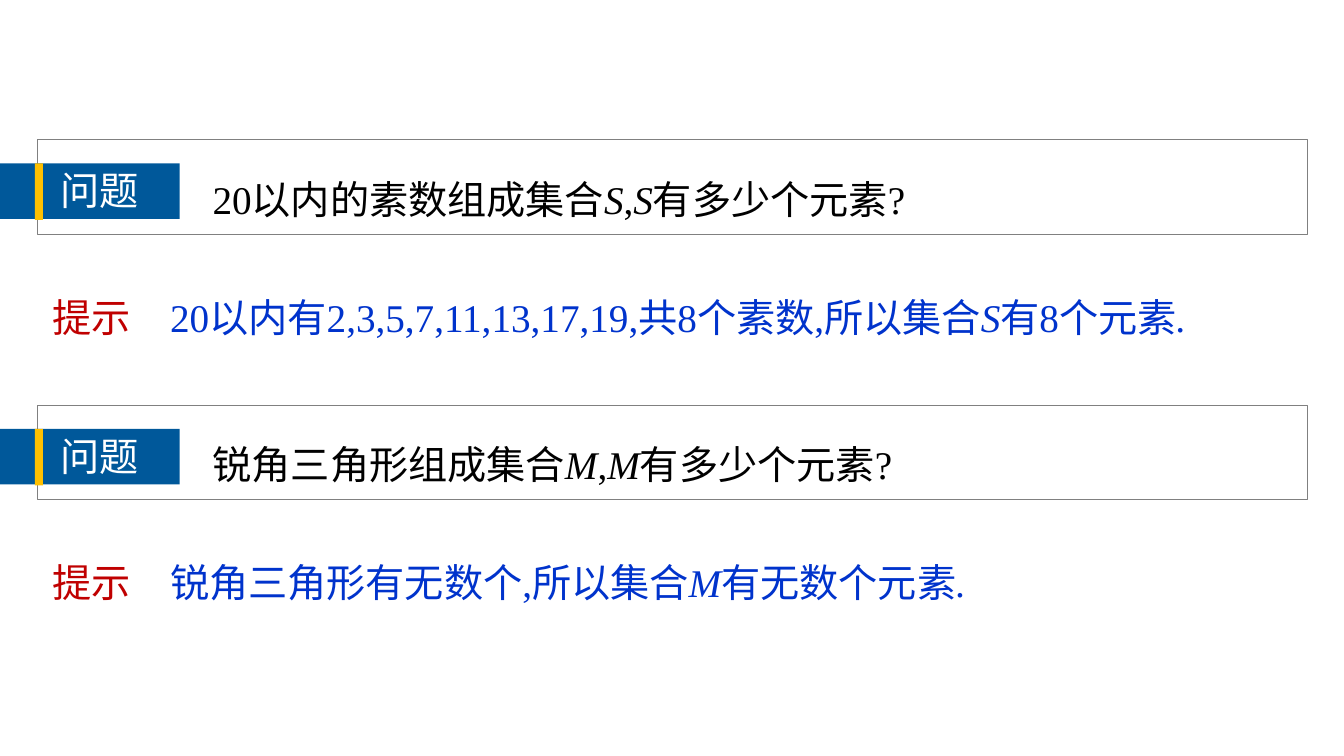
from dataclasses import dataclass

from pptx import Presentation
from pptx.dml.color import RGBColor
from pptx.enum.shapes import MSO_SHAPE
from pptx.enum.text import MSO_AUTO_SIZE as AutoSize
from pptx.shapes.autoshape import Shape
from pptx.shapes.shapetree import GroupShapes, SlideShapes
from pptx.util import Cm, Pt


@dataclass(frozen=True)
class Theme:
    font: str = "Times New Roman"
    size: float = 28
    line_spacing: float = 1.5
    frame_width: float = 0.75
    frame: RGBColor = RGBColor(0x80, 0x80, 0x80)
    tag: RGBColor = RGBColor(0x00, 0x58, 0x9A)
    stripe: RGBColor = RGBColor(0xFF, 0xC0, 0x00)
    tag_text: RGBColor = RGBColor(0xFF, 0xFF, 0xFF)
    question: RGBColor = RGBColor(0x00, 0x00, 0x00)
    hint: RGBColor = RGBColor(0xC0, 0x00, 0x00)
    answer: RGBColor = RGBColor(0x00, 0x33, 0xCC)


@dataclass(frozen=True)
class Box:
    left: float
    top: float
    width: float
    height: float

    def lengths(self, offset: float) -> tuple[Cm, Cm, Cm, Cm]:
        return Cm(self.left), Cm(self.top + offset), Cm(self.width), Cm(self.height)


@dataclass(frozen=True)
class Piece:
    text: str
    color: RGBColor
    italic: bool = False


@dataclass(frozen=True)
class Problem:
    question: list[Piece]
    hint: list[Piece]


THEME = Theme()
PITCH = 6.69
FRAME = Box(0.95, 3.52, 32, 2.39)
HINT = Box(1.08, 6.67, 31.7, 1.85)
QUESTION = Box(5.11, 3.7, 27.23, 1.85)
TAG = Box(0, 4.12, 4.53, 1.4)
STRIPE = Box(0.88, 4.12, 0.2, 1.42)
TAG_TEXT = Box(1.27, 4.07, 3, 1.45)


def make_problem(topic: str, name: str, reason: str, amount: str) -> Problem:
    question = [
        Piece(topic, THEME.question),
        Piece(name, THEME.question, True),
        Piece(",", THEME.question),
        Piece(name, THEME.question, True),
        Piece("有多少个元素?", THEME.question),
    ]
    hint = [
        Piece("提示　", THEME.hint),
        Piece(reason, THEME.answer),
        Piece(name, THEME.answer, True),
        Piece(amount, THEME.answer),
        Piece(".", THEME.answer, True),
    ]
    return Problem(question, hint)


def add_rectangle(shapes: SlideShapes | GroupShapes, box: Box, offset: float) -> Shape:
    shape = shapes.add_shape(MSO_SHAPE.RECTANGLE, *box.lengths(offset))
    shape.shadow.inherit = False
    return shape


def add_frame(shapes: SlideShapes, offset: float) -> None:
    shape = add_rectangle(shapes, FRAME, offset)
    shape.fill.background()
    shape.line.color.rgb = THEME.frame
    shape.line.width = Pt(THEME.frame_width)


def add_block(shapes: GroupShapes, box: Box, offset: float, color: RGBColor) -> None:
    shape = add_rectangle(shapes, box, offset)
    shape.fill.solid()
    shape.fill.fore_color.rgb = color
    shape.line.fill.background()


def add_text(
    shapes: SlideShapes | GroupShapes,
    box: Box,
    offset: float,
    pieces: list[Piece],
    spacing: float | None = None,
) -> None:
    frame = shapes.add_textbox(*box.lengths(offset)).text_frame
    frame.word_wrap = True
    frame.auto_size = AutoSize.SHAPE_TO_FIT_TEXT
    paragraph = frame.paragraphs[0]
    paragraph.line_spacing = spacing
    paragraph.font.name = THEME.font
    paragraph.font.size = Pt(THEME.size)
    for piece in pieces:
        run = paragraph.add_run()
        run.text = piece.text
        run.font.color.rgb = piece.color
        run.font.italic = piece.italic


def add_tag(shapes: SlideShapes, offset: float) -> None:
    group = shapes.add_group_shape().shapes
    add_block(group, TAG, offset, THEME.tag)
    add_block(group, STRIPE, offset, THEME.stripe)
    add_text(group, TAG_TEXT, offset, [Piece("问题", THEME.tag_text)])


def add_problem(shapes: SlideShapes, problem: Problem, offset: float) -> None:
    add_frame(shapes, offset)
    add_text(shapes, HINT, offset, problem.hint, THEME.line_spacing)
    add_text(shapes, QUESTION, offset, problem.question, THEME.line_spacing)
    add_tag(shapes, offset)


def main() -> None:
    presentation = Presentation()
    presentation.slide_width = Cm(33.87)
    presentation.slide_height = Cm(19.05)
    slide = presentation.slides.add_slide(presentation.slide_layouts[6])
    problems = [
        make_problem(
            "20以内的素数组成集合",
            "S",
            "20以内有2,3,5,7,11,13,17,19,共8个素数,所以集合",
            "有8个元素",
        ),
        make_problem(
            "锐角三角形组成集合",
            "M",
            "锐角三角形有无数个,所以集合",
            "有无数个元素",
        ),
    ]
    for index, problem in enumerate(problems):
        add_problem(slide.shapes, problem, index * PITCH)
    presentation.save("out.pptx")


if __name__ == "__main__":
    main()
